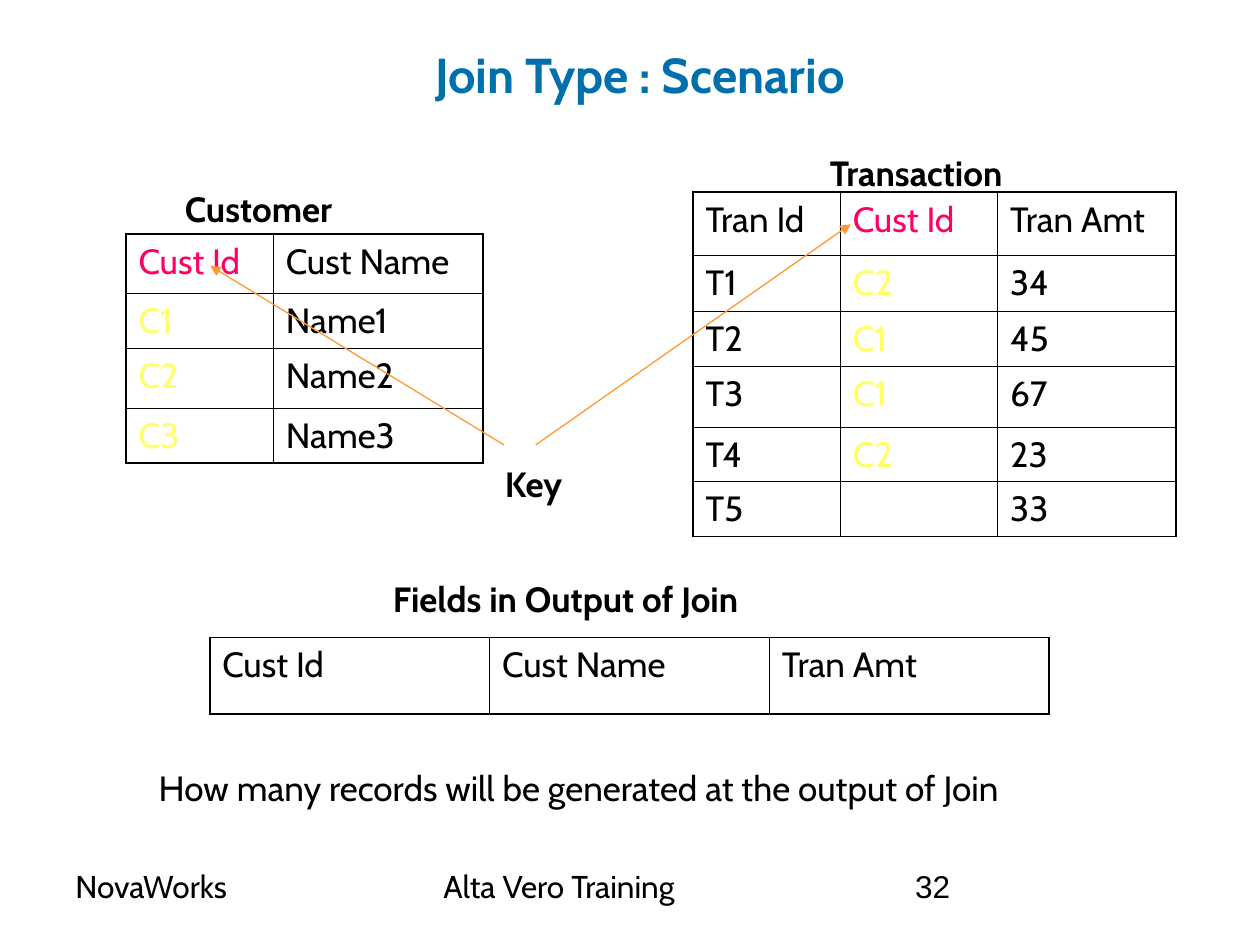
from lxml.etree import SubElement
from pptx import Presentation
from pptx.dml.color import RGBColor
from pptx.enum.shapes import MSO_CONNECTOR
from pptx.enum.text import MSO_ANCHOR, PP_ALIGN
from pptx.oxml.ns import qn
from pptx.util import Cm, Pt

BLACK, BLUE, PINK, YELLOW, ORANGE = "000000", "0070AD", "FF0066", "FFFF66", "FF9933"
OUTER, INNER = 1.08, 0.45


def color(value):
    """Return the colour for a hex string."""
    return RGBColor.from_string(value)


def write(frame, text, size=20, font="Cabin", fill=BLACK, bold=False, align=PP_ALIGN.LEFT, before=0):
    """Write one formatted paragraph into a text frame."""
    para = frame.paragraphs[0]
    para.alignment = align
    para.space_before = Pt(before)
    span = para.add_run()
    span.text = text
    span.font.size = Pt(size)
    span.font.name = font
    span.font.bold = bold
    span.font.color.rgb = color(fill)


def add_label(page, box, text, **style):
    """Add a text box that fills the given box."""
    frame = page.shapes.add_textbox(*map(Cm, box)).text_frame
    frame.word_wrap = True
    write(frame, text, **style)


def add_border(cell, side, width):
    """Draw one black border of a cell."""
    line = SubElement(cell._tc.get_or_add_tcPr(), qn(f"a:ln{side}"), w=str(Pt(width)))
    SubElement(SubElement(line, qn("a:solidFill")), qn("a:srgbClr"), val=BLACK)


def add_records(page, left, top, widths, heights, records, key_column=None):
    """Add a table of records with its key column coloured."""
    frame = page.shapes.add_table(len(heights), len(widths), Cm(left), Cm(top),
                                  Cm(sum(widths)), Cm(sum(heights)))
    table = frame.table
    table.first_row = table.horz_banding = False
    for column, width in zip(table.columns, widths):
        column.width = Cm(width)
    for row, height in zip(table.rows, heights):
        row.height = Cm(height)
    last_row, last_column = len(heights) - 1, len(widths) - 1
    for i, record in enumerate(records):
        for j, text in enumerate(record):
            cell = table.cell(i, j)
            edges = {"L": j == 0, "R": j == last_column, "T": i == 0, "B": i == last_row}
            for side, is_outer in edges.items():
                add_border(cell, side, OUTER if is_outer else INNER)
            cell.fill.background()
            if text:
                key_fill = PINK if i == 0 else YELLOW
                write(cell.text_frame, text, before=5,
                      fill=key_fill if j == key_column else BLACK)


def add_arrow(page, start, end):
    """Add a thin arrow from start to end."""
    arrow = page.shapes.add_connector(MSO_CONNECTOR.STRAIGHT, *map(Cm, start + end))
    arrow.line.color.rgb = color(ORANGE)
    arrow.line.width = Pt(0.75)
    SubElement(arrow.line._get_or_add_ln(), qn("a:tailEnd"), type="triangle")
    SubElement(arrow._element.spPr, qn("a:effectLst"))


def add_title(page, box, text):
    """Place and fill the title placeholder."""
    title = page.shapes.title
    title.left, title.top, title.width, title.height = map(Cm, box)
    title.text_frame.vertical_anchor = MSO_ANCHOR.MIDDLE
    write(title.text_frame, text, size=28, fill=BLUE, bold=True, align=PP_ALIGN.CENTER)


def add_customer(page, left, top):
    """Add the customer table and its heading."""
    add_records(page, left, top, [2.97, 4.23], [1.19, 1.1, 1.2, 1.1],
                [["Cust Id", "Cust Name"]] + [[f"C{n}", f"Name{n}"] for n in (1, 2, 3)],
                key_column=0)
    add_label(page, (left + 0.94, top - 1.06, 3.94, 1.12), "Customer", bold=True)


def add_transaction(page, left, top):
    """Add the transaction table and its heading."""
    records = [("Tran Id", "Cust Id", "Tran Amt"), ("T1", "C2", "34"), ("T2", "C1", "45"),
               ("T3", "C1", "67"), ("T4", "C2", "23"), ("T5", "", "33")]
    add_records(page, left, top, [2.97, 3.17, 3.6], [1.28, 1.13, 1.1, 1.23, 1.1, 1.1],
                records, key_column=1)
    add_label(page, (left + 2.51, top - 0.95, 4.7, 1.12), "Transaction", bold=True)


def add_output(page, left, top):
    """Add the join output fields with heading and question."""
    add_records(page, left, top, [5.64] * 3, [1.55], [("Cust Id", "Cust Name", "Tran Amt")])
    add_label(page, (left + 3.44, top - 1.34, 8.56, 1.12), "Fields in Output of Join", bold=True)
    add_label(page, (left - 1.28, top + 2.47, 19.5, 1.12),
              "How many records will be generated at the output of Join")


def add_key(page, left, top):
    """Add the key label and its arrows to both key columns."""
    add_label(page, (left, top, 1.8, 1.12), "Key", bold=True)
    add_arrow(page, (left + 0.23, top - 0.23), (left - 5.69, top - 3.84))
    add_arrow(page, (left + 0.87, top - 0.23), (left + 7.22, top - 4.68))


def add_footer(page, top):
    """Add the three footer texts."""
    for left, width, text, font in ((1.27, 5.92, "NovaWorks", "Cabin"),
                                    (8.69, 8.05, "Alta Vero Training", "Cabin"),
                                    (18.2, 5.92, "32", "Arial")):
        add_label(page, (left, top, width, 1.32), text, size=18, font=font)


def build():
    """Build and save the slide."""
    deck = Presentation()
    deck.slide_width, deck.slide_height = Cm(25.4), Cm(19.05)
    page = deck.slides.add_slide(deck.slide_layouts[5])
    add_title(page, (1.47, 0, 22.86, 2.97), "Join Type : Scenario")
    add_customer(page, 2.54, 4.72)
    add_transaction(page, 13.97, 3.87)
    add_output(page, 4.23, 12.85)
    add_key(page, 9.93, 9.2)
    add_footer(page, 17.35)
    deck.save("out.pptx")


build()
